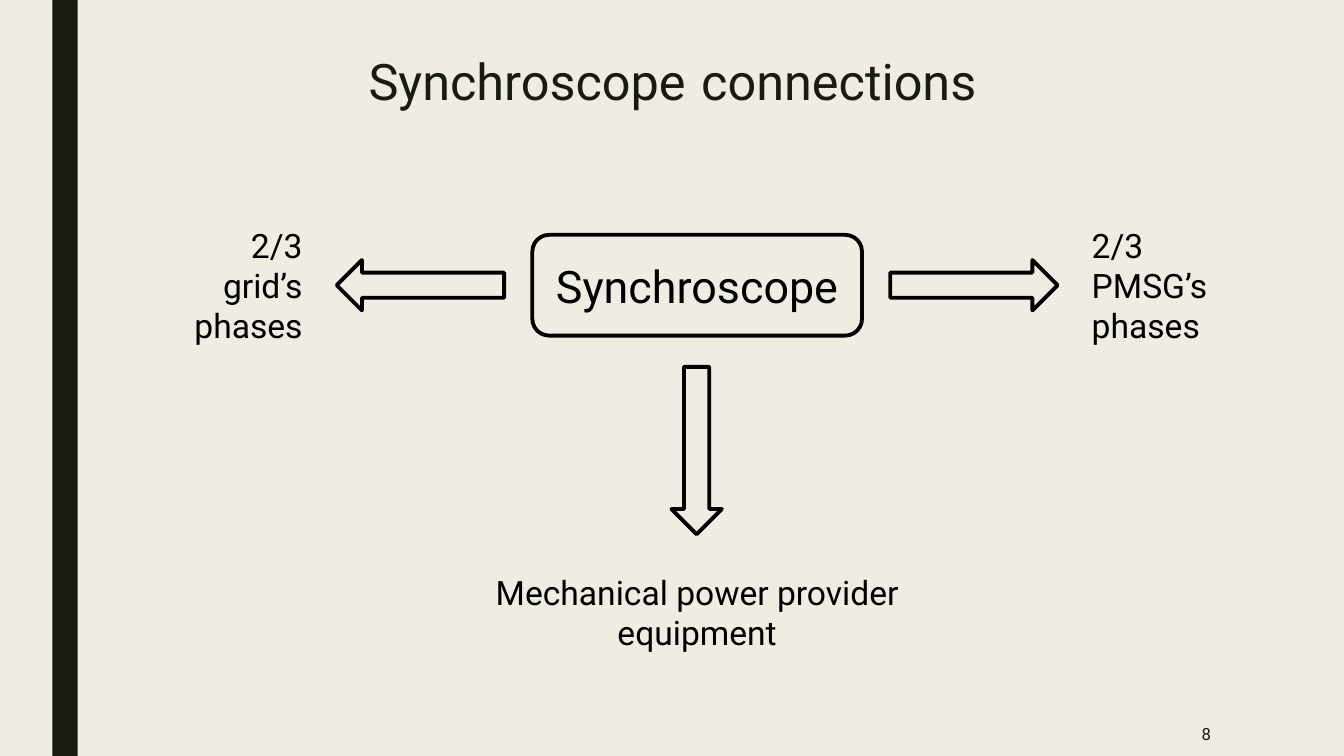
from pptx import Presentation
from pptx import util as u
from pptx.dml.color import RGBColor
from pptx.enum import shapes, text

PX = 9144  # 100 px to the inch
DARK = RGBColor(0x19, 0x1B, 0x0E)
BLACK = RGBColor(0, 0, 0)
CREAM = RGBColor(0xEF, 0xED, 0xE3)
FONT = "Roboto"
KIND = shapes.MSO_SHAPE
LEFT, MID, RIGHT = text.PP_ALIGN.LEFT, text.PP_ALIGN.CENTER, text.PP_ALIGN.RIGHT
TOP, CENTER = text.MSO_ANCHOR.TOP, text.MSO_ANCHOR.MIDDLE


def emu(*box):
    return [u.Emu(n * PX) for n in box]


def style(run, size, color):
    run.font.name = FONT
    run.font.size = u.Pt(size)
    run.font.color.rgb = color


def write(shape, words, size, color, align, anchor=TOP):
    frame = shape.text_frame
    frame.word_wrap = True
    frame.vertical_anchor = anchor
    frame.text = words
    para = frame.paragraphs[0]
    para.alignment = align
    style(para.runs[0], size, color)


def label(slide, box, words, size, color, align, anchor=TOP):
    write(slide.shapes.add_textbox(*emu(*box)), words, size, color, align, anchor)


def outline(slide, kind, box):
    shape = slide.shapes.add_shape(kind, *emu(*box))
    shape.shadow.inherit = False
    shape.fill.background()
    shape.line.color.rgb = BLACK
    shape.line.width = u.Pt(2.75)
    return shape


def stripe(slide, box):
    bar = slide.shapes.add_shape(KIND.RECTANGLE, *emu(*box))
    bar.shadow.inherit = False
    bar.fill.solid()
    bar.fill.fore_color.rgb = DARK
    bar.line.fill.background()


def heading(slide, box):
    title = slide.shapes.title
    title.left, title.top, title.width, title.height = emu(*box)
    frame = title.text_frame
    frame.word_wrap = True
    frame.vertical_anchor = TOP
    para = frame.paragraphs[0]
    para.alignment = MID
    para.line_spacing = 0.89
    for words, size in (("Synchroscope", 36), (" ", 44), ("connections", 36)):
        run = para.add_run()
        run.text = words
        style(run, size, DARK)


def diagram(slide, x, y, w, h):
    # Central device
    hub = outline(slide, KIND.ROUNDED_RECTANGLE, (x, y, w, h))
    write(hub, "Synchroscope", 32, BLACK, MID, CENTER)

    # Arrows leave the device on three sides
    long, thick, gap = 166, 50, 28
    side = y + (h - thick) // 2
    outline(slide, KIND.LEFT_ARROW, (x - gap - long, side, long, thick))
    outline(slide, KIND.RIGHT_ARROW, (x + w + gap, side, long, thick))
    outline(slide, KIND.DOWN_ARROW,
            (x + (w - thick) // 2, y + h + 31, thick, long))

    # Labels at the arrow tips
    reach, wide, tall = gap + long + 24, 157, 131
    label(slide, (x - reach - wide, y - 15, wide, tall),
          "2/3 grid’s phases", 24, BLACK, RIGHT)
    label(slide, (x + w + reach, y - 15, wide, tall),
          "2/3 PMSG’s phases", 24, BLACK, LEFT)
    label(slide, (x - 100, y + 329, w + 200, 91),
          "Mechanical power provider equipment", 24, BLACK, MID)


def main():
    deck = Presentation()
    deck.slide_width, deck.slide_height = emu(1333, 750)
    slide = deck.slides.add_slide(deck.slide_layouts[5])
    slide.background.fill.solid()
    slide.background.fill.fore_color.rgb = CREAM
    stripe(slide, (52, 0, 25, 750))
    heading(slide, (142, 42, 1050, 77))
    diagram(slide, 528, 233, 327, 100)
    label(slide, (1036, 706, 175, 44), "8", 12, DARK, RIGHT, CENTER)
    deck.save("out.pptx")


if __name__ == "__main__":
    main()
